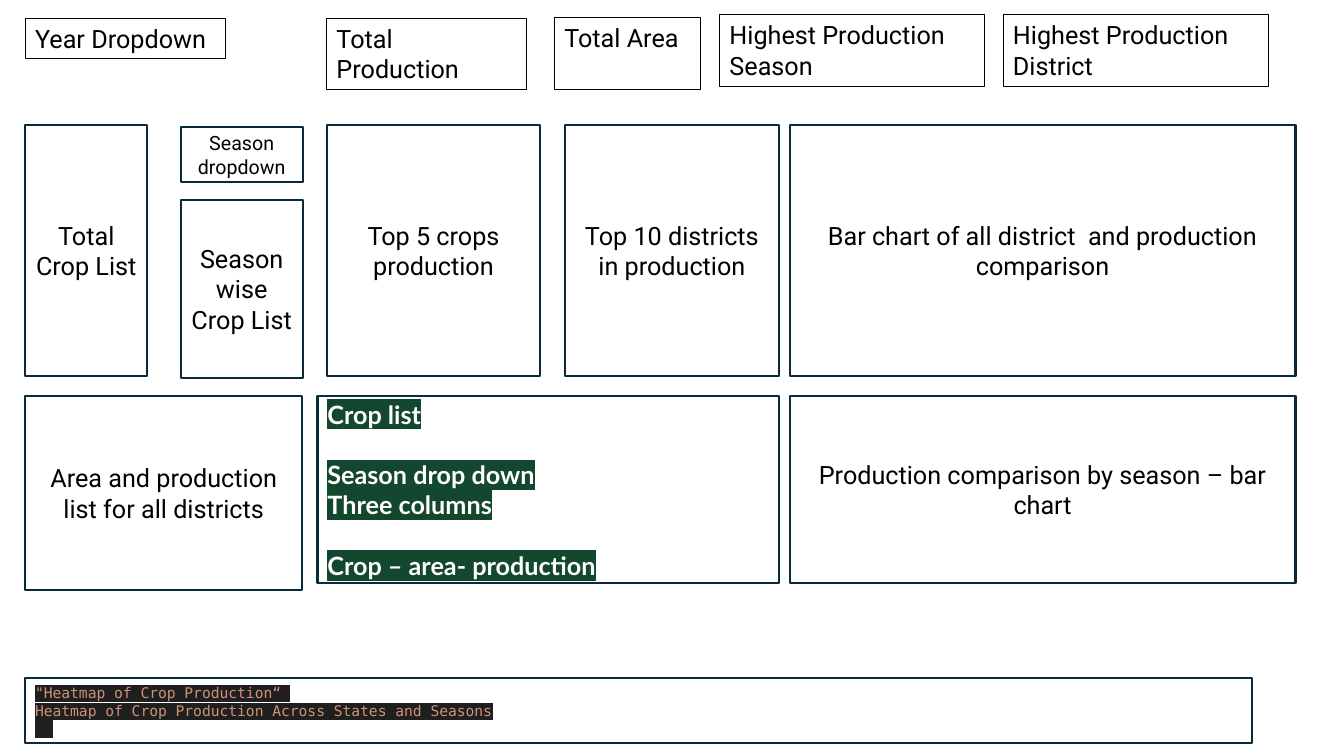
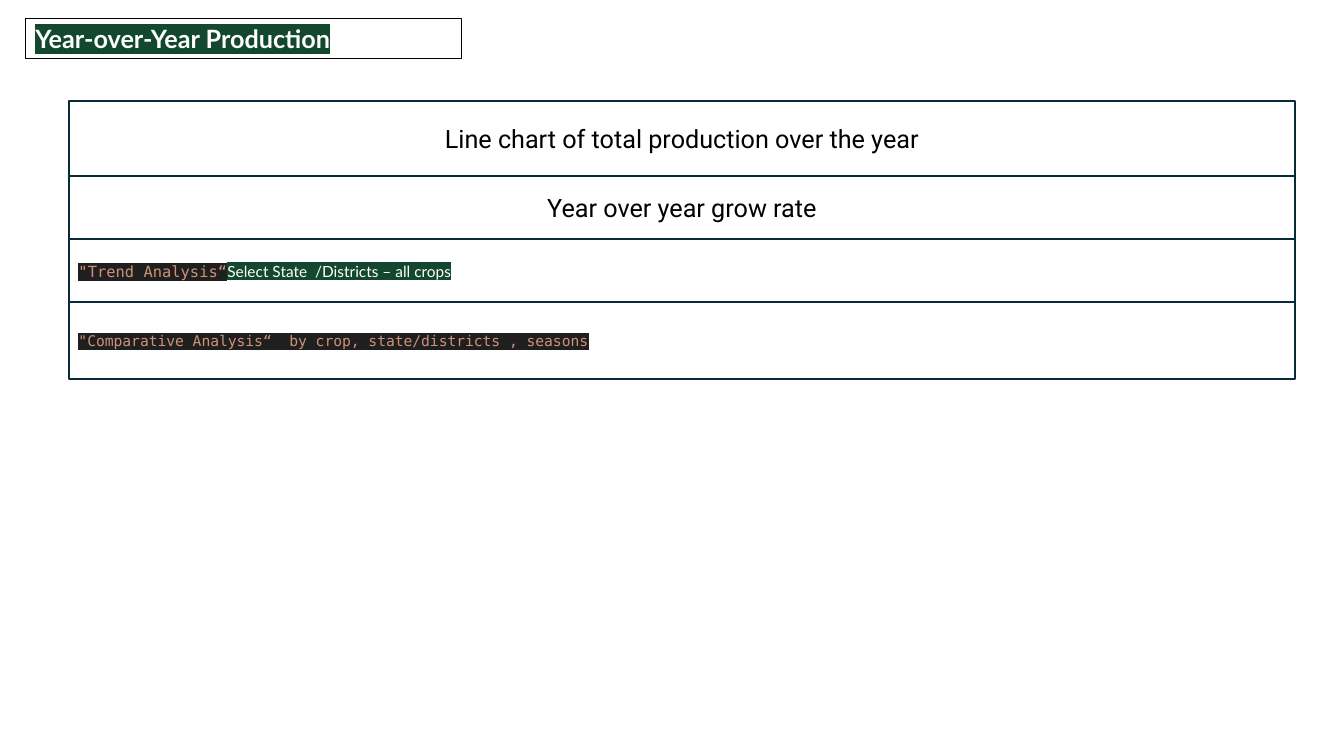
from dataclasses import dataclass, replace

from lxml.etree import SubElement
from pptx import Presentation
from pptx.dml.color import RGBColor
from pptx.enum.shapes import MSO_SHAPE
from pptx.enum.text import MSO_ANCHOR, MSO_AUTO_SIZE, PP_ALIGN
from pptx.oxml.ns import qn
from pptx.util import Pt


@dataclass(frozen=True)
class TextStyle:
    font: str
    size: float
    color: str
    bold: bool = False
    highlight: str = ""


@dataclass(frozen=True)
class Theme:
    label_line: str = "000000"
    panel_line: str = "092A39"
    label_weight: float = 0.75
    panel_weight: float = 1.5
    body: TextStyle = TextStyle("Roboto", 18, "000000")
    small: TextStyle = TextStyle("Roboto", 14, "000000")
    heading: TextStyle = TextStyle("Lato", 18, "FFFFFF", True, "13472E")
    hint: TextStyle = TextStyle("Lato", 11, "FFFFFF", False, "13472E")
    code: TextStyle = TextStyle("DejaVu Sans Mono", 10.5, "CE9178", False, "1F1F1F")


THEME = Theme()
TITLE_ONLY, BLANK = 5, 6


def add_text(paragraph, text, *, style):
    run = paragraph.add_run()
    run.text = text
    font = run.font
    font.size = Pt(style.size)
    font.bold = style.bold
    font.color.rgb = RGBColor.from_string(style.color)
    if style.highlight:
        # The schema wants the highlight between the fill and the typeface
        highlight = SubElement(run._r.get_or_add_rPr(), qn("a:highlight"))
        SubElement(highlight, qn("a:srgbClr"), val=style.highlight)
    font.name = style.font


class Wireframe:
    """Holds the presentation, its theme and the slide being drawn."""

    def __init__(self, theme):
        self.theme = theme
        self.deck = Presentation()
        self.deck.slide_width, self.deck.slide_height = Pt(960), Pt(540)
        self.slide = None

    def new_slide(self, layout):
        self.slide = self.deck.slides.add_slide(self.deck.slide_layouts[layout])

    def outline(self, shape, color, weight):
        shape.fill.background()
        shape.line.color.rgb = RGBColor.from_string(color)
        shape.line.width = Pt(weight)

    def fill_text(self, shape, lines, align, anchor, gaps=()):
        """Write lines of (text, style) runs; gaps lists the lines set one line lower."""
        frame = shape.text_frame
        frame.word_wrap = True
        frame.auto_size = MSO_AUTO_SIZE.NONE
        frame.vertical_anchor = anchor
        for index, runs in enumerate(lines):
            paragraph = frame.paragraphs[0] if index == 0 else frame.add_paragraph()
            paragraph.alignment = align
            if index in gaps:
                paragraph.space_before = Pt(runs[0][1].size * 1.2)
            for text, style in runs:
                add_text(paragraph, text, style=style)

    def box(self, left, top, width, height, color, weight):
        shape = self.slide.shapes.add_shape(
            MSO_SHAPE.RECTANGLE, Pt(left), Pt(top), Pt(width), Pt(height))
        shape.shadow.inherit = False
        self.outline(shape, color, weight)
        return shape

    def title(self, text, left, top, width, height):
        title = self.slide.shapes.title
        title.left, title.top = Pt(left), Pt(top)
        title.width, title.height = Pt(width), Pt(height)
        self.outline(title, self.theme.label_line, self.theme.label_weight)
        self.fill_text(title, [[(text, self.theme.heading)]], PP_ALIGN.LEFT, MSO_ANCHOR.TOP)

    def label(self, text, left, top, width, height):
        shape = self.box(left, top, width, height,
                         self.theme.label_line, self.theme.label_weight)
        self.fill_text(shape, [[(text, self.theme.body)]], PP_ALIGN.LEFT, MSO_ANCHOR.TOP)

    def panel(self, text, left, top, width, height, style=None):
        self.rich_panel([[(text, style or self.theme.body)]],
                        left, top, width, height, align=PP_ALIGN.CENTER)

    def rich_panel(self, lines, left, top, width, height, align=PP_ALIGN.LEFT, gaps=()):
        shape = self.box(left, top, width, height,
                         self.theme.panel_line, self.theme.panel_weight)
        self.fill_text(shape, lines, align, MSO_ANCHOR.MIDDLE, gaps)


def draw_dashboard(page):
    theme = page.theme
    page.new_slide(BLANK)

    page.label("Year Dropdown", 18, 13, 143.3, 29)
    page.label("Total Production", 233.3, 13, 142.7, 51)
    page.label("Total Area", 396, 12.7, 104.4, 51)
    page.label("Highest Production Season", 514, 10.5, 189.4, 51)
    page.label("Highest Production District", 716.5, 10.5, 189.4, 51)

    margin, narrow, medium, wide = 18, 87.3, 152.7, 361.4
    season_left, wide_left = 129, 564
    upper, upper_height = 89, 179.5
    lower, lower_height = 283, 133.3
    page.panel("Season dropdown", season_left, 90.6, narrow, 39.6, style=theme.small)
    page.panel("Total Crop List", margin, upper, narrow, upper_height)
    page.panel("Season wise Crop List", season_left, 142.6, narrow, 127.4)
    page.panel("Top 5 crops production", 233.3, upper, medium, upper_height)
    page.panel("Top 10 districts in production", 403.6, upper, medium, upper_height)
    page.panel("Bar chart of all district  and production comparison",
               wide_left, upper, wide, upper_height)
    page.panel("Area and production list for all districts", margin, lower, 198, 138.2)
    page.panel("Production comparison by season – bar chart",
               wide_left, lower, wide, lower_height)

    crop_lines = ("Crop list", "Season drop down", "Three columns", "Crop – area- production")
    page.rich_panel([[(line, theme.heading)] for line in crop_lines],
                    226.8, lower, 329.8, lower_height, gaps=(1, 3))

    heatmap_lines = ('"Heatmap of Crop Production“ ',
                     "Heatmap of Crop Production Across States and Seasons", "  ")
    page.rich_panel([[(line, theme.code)] for line in heatmap_lines],
                    margin, 484.5, 876.3, 46)


def draw_trends(page):
    theme = page.theme
    page.new_slide(TITLE_ONLY)
    page.title("Year-over-Year Production", 18, 13, 312, 29)

    rows = (
        (54, PP_ALIGN.CENTER, [("Line chart of total production over the year", theme.body)]),
        (45, PP_ALIGN.CENTER, [("Year over year grow rate", theme.body)]),
        (45, PP_ALIGN.LEFT, [('"Trend Analysis“', replace(theme.code, size=11)),
                             ("Select State  /Districts – all crops", theme.hint)]),
        (55, PP_ALIGN.LEFT, [('"Comparative Analysis“  by crop, state/districts , seasons',
                              theme.code)]),
    )
    top = 72
    for height, align, runs in rows:
        page.rich_panel([runs], 49, top, 876.3, height, align=align)
        top += height


def main():
    page = Wireframe(THEME)
    draw_dashboard(page)
    draw_trends(page)
    page.deck.save("out.pptx")


if __name__ == "__main__":
    main()
